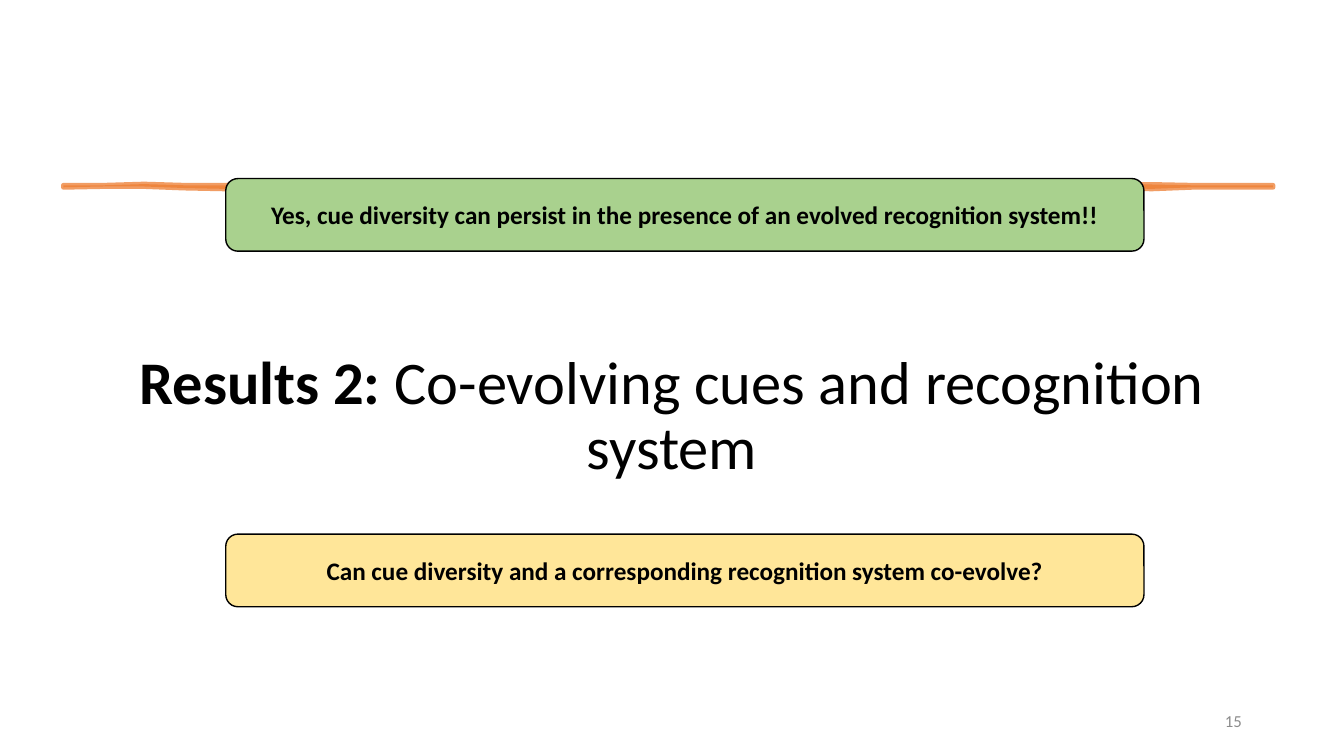
from dataclasses import dataclass

import lxml.etree
import pptx
import pptx.dml.color
import pptx.enum.shapes
import pptx.enum.text
import pptx.oxml.ns
import pptx.util

Cm = pptx.util.Cm
Pt = pptx.util.Pt
ALIGN = pptx.enum.text.PP_ALIGN
ANCHOR = pptx.enum.text.MSO_ANCHOR
qn = pptx.oxml.ns.qn


@dataclass(frozen=True)
class Theme:
    font: str = "Calibri"
    black: str = "000000"
    grey: str = "8C8C8C"
    orange: str = "ED7D31"
    green: str = "A9D18E"
    yellow: str = "FFE699"
    title_size: float = 43.2
    banner_size: float = 18
    number_size: float = 12


theme = Theme()


def rgb(value):
    return pptx.dml.color.RGBColor.from_string(value)


def write_text(shape, *runs, size, color=theme.black, align=ALIGN.CENTER,
               anchor=ANCHOR.MIDDLE, line_spacing=1.0):
    """Fill the shape with one paragraph made of (text, bold) runs."""
    frame = shape.text_frame
    frame.word_wrap = True
    frame.vertical_anchor = anchor
    paragraph = frame.paragraphs[0]
    paragraph.alignment = align
    paragraph.line_spacing = line_spacing
    for text, bold in runs:
        run = paragraph.add_run()
        run.text = text
        run.font.name = theme.font
        run.font.size = Pt(size)
        run.font.bold = bold
        run.font.color.rgb = rgb(color)


presentation = pptx.Presentation()
presentation.slide_width = Cm(33.87)
presentation.slide_height = Cm(19.05)
slide = presentation.slides.add_slide(presentation.slide_layouts[6])
shapes = slide.shapes

# Title
title = shapes.add_textbox(Cm(1.63), Cm(10.08), Cm(30.61), Cm(2.21))
write_text(title, ("Results 2: ", True), ("Co-evolving cues and recognition system", False),
           size=theme.title_size, anchor=ANCHOR.BOTTOM, line_spacing=0.9)

# Hand-drawn rule: vertical offsets of both edges at equal steps
rule_left, rule_top, rule_width, rule_thickness = 1.6, 4.67, 30.48, 0.05
top_waves = [0, 0, -0.03, 0, 0, -0.04, 0, 0.02, 0, 0, -0.03, 0, 0, 0.02, 0,
             0, -0.03, 0, 0, 0.02, 0, 0, -0.02, 0, 0, 0, -0.02, -0.02, 0, 0, 0]
bottom_waves = [0, -0.02, -0.02, 0.02, 0.04, 0.02, 0, 0.02, 0, 0, 0.02, 0, 0, 0.02, 0,
                0, 0.02, 0, 0, 0.04, 0, 0, 0.02, 0, 0, 0, 0.02, 0.04, 0, 0, 0]
step = rule_width / (len(top_waves) - 1)
top_edge = [(Cm(rule_left + i * step), Cm(rule_top + wave))
            for i, wave in enumerate(top_waves)]
bottom_edge = [(Cm(rule_left + i * step), Cm(rule_top + rule_thickness + wave))
               for i, wave in enumerate(bottom_waves)]
builder = shapes.build_freeform(*top_edge[0])
builder.add_line_segments(top_edge[1:] + bottom_edge[::-1], close=True)
rule = builder.convert_to_shape()
rule.shadow.inherit = False
rule.fill.solid()
rule.fill.fore_color.rgb = rgb(theme.orange)
rule.line.color.rgb = rgb(theme.orange)
rule.line.width = Pt(3.5)
for color in rule._element.spPr.iter(qn("a:srgbClr")):
    lxml.etree.SubElement(color, qn("a:alpha"), val="75000")
lxml.etree.SubElement(rule._element.spPr.find(qn("a:ln")), qn("a:round"))

# Slide number
number = shapes.add_textbox(Cm(23.93), Cm(17.65), Cm(7.62), Cm(1.02))
write_text(number, ("15", False), size=theme.number_size, color=theme.grey, align=ALIGN.RIGHT)

# Answer and question banners
banners = [
    (4.5, theme.green,
     "Yes, cue diversity can persist in the presence of an evolved recognition system!!"),
    (13.46, theme.yellow,
     "Can cue diversity and a corresponding recognition system co-evolve?"),
]
for top, color, text in banners:
    banner = shapes.add_shape(pptx.enum.shapes.MSO_SHAPE.ROUNDED_RECTANGLE,
                              Cm(5.69), Cm(top), Cm(23.14), Cm(1.83))
    banner.shadow.inherit = False
    banner.fill.solid()
    banner.fill.fore_color.rgb = rgb(color)
    banner.line.color.rgb = rgb(theme.black)
    banner.line.width = Pt(1)
    write_text(banner, (text, True), size=theme.banner_size)

presentation.save("out.pptx")
